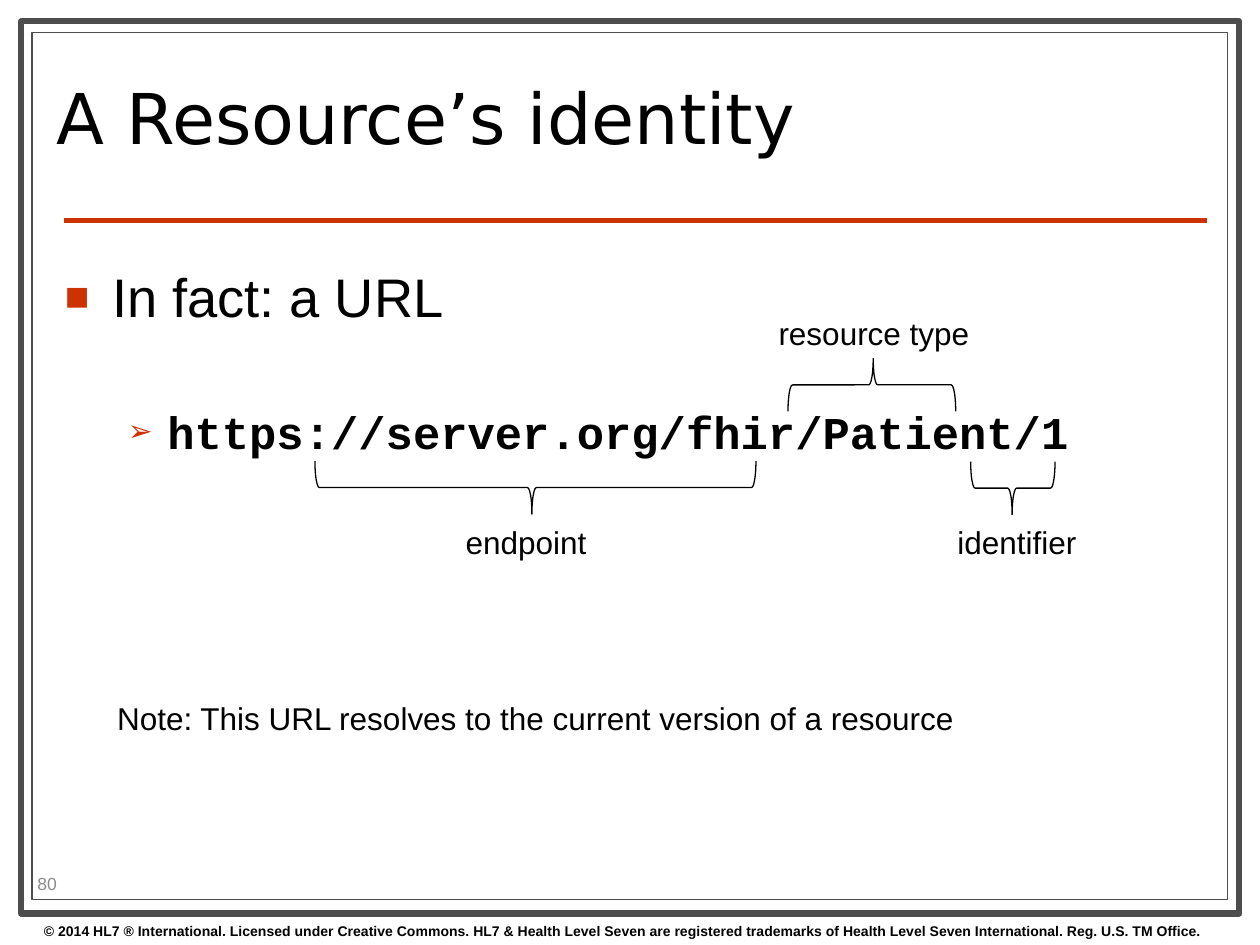
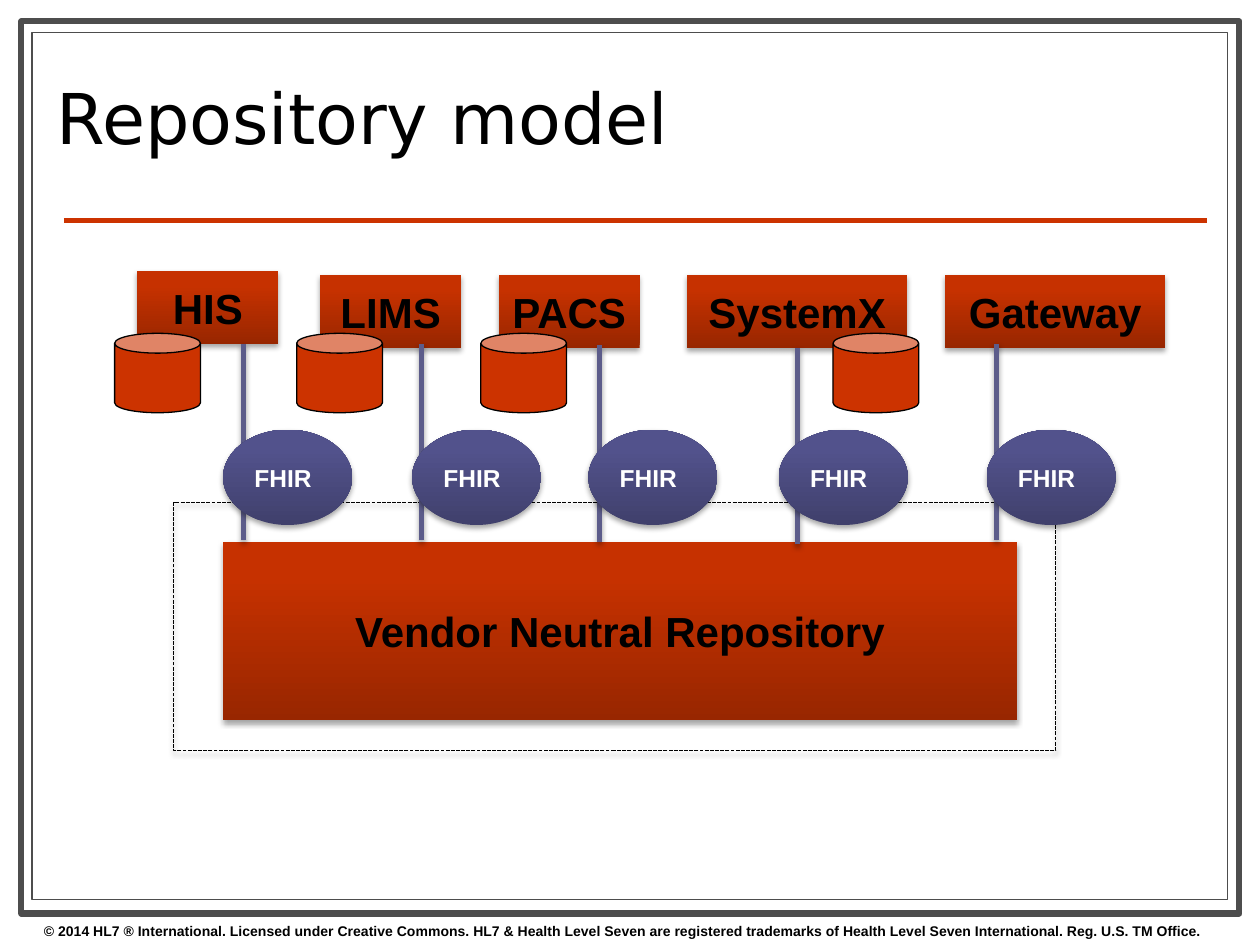
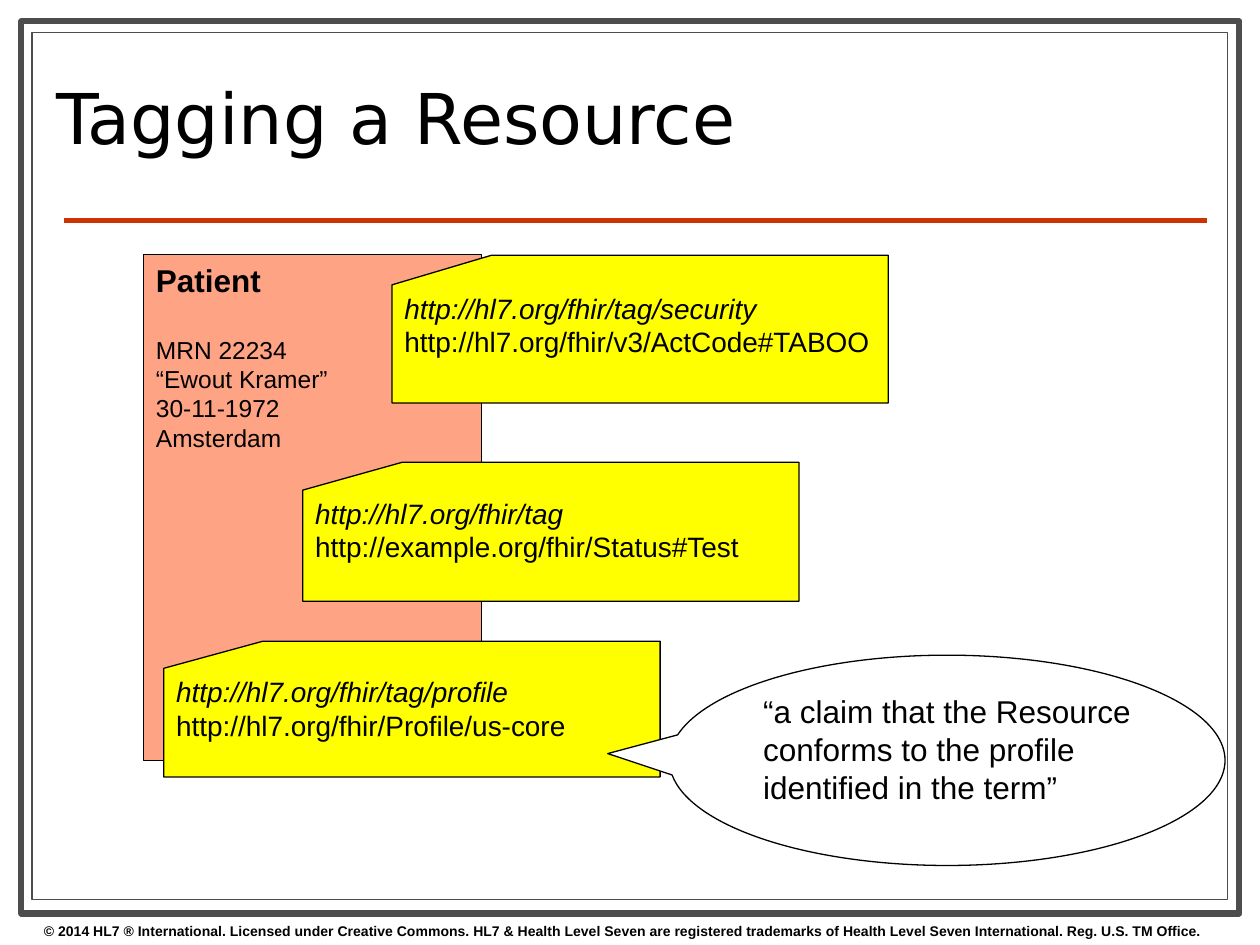
import pptx
import pptx.dml.color
import pptx.enum.dml
import pptx.enum.shapes
import pptx.enum.text
import pptx.oxml.ns
import pptx.util
from lxml import etree

Pt = pptx.util.Pt
qn = pptx.oxml.ns.qn
SHAPE = pptx.enum.shapes.MSO_SHAPE
ALIGN = pptx.enum.text.PP_ALIGN
ANCHOR = pptx.enum.text.MSO_ANCHOR

BLACK, WHITE, GREY, PALE_GREY = "000000", "FFFFFF", "4D4D4D", "8C8C8C"
RED, SALMON, YELLOW, VIOLET = "CC3300", "FFA385", "FFFF00", "5C5C8A"
RED_GRADIENT = ("982600", "C63100")
VIOLET_GRADIENT = ("40406C", "52528C")
COPYRIGHT = (
    "© 2014 HL7 ® International. Licensed under Creative Commons. HL7 & Health Level Seven "
    "are registered trademarks of Health Level Seven International. Reg. U.S. TM Office."
)


def rgb(value):
    return pptx.dml.color.RGBColor.from_string(value)


def format_runs(p, size, color=BLACK, bold=False, italic=False, font="Arial"):
    for r in p.runs:
        r.font.size = Pt(size)
        r.font.name = font
        r.font.bold = bold
        r.font.italic = italic
        r.font.color.rgb = rgb(color)


def write(sp, text, size, color=BLACK, bold=False, align=ALIGN.LEFT, anchor=ANCHOR.TOP, wrap=True):
    tf = sp.text_frame
    tf.text = text
    tf.word_wrap = wrap
    tf.vertical_anchor = anchor
    for p in tf.paragraphs:
        p.alignment = align
        format_runs(p, size, color, bold)
    return tf


def add_text(slide, left, top, width, height, text, size, **style):
    sp = slide.shapes.add_textbox(Pt(left), Pt(top), Pt(width), Pt(height))
    write(sp, text, size, **style)
    return sp


def add_shadow(sp):
    spPr = sp.element.spPr
    effects = spPr.find(qn("a:effectLst"))
    if effects is None:
        effects = etree.SubElement(spPr, qn("a:effectLst"))
    shadow = etree.SubElement(effects, qn("a:outerShdw"), blurRad=str(Pt(3.1)),
                              dist=str(Pt(1.8)), dir="5400000", rotWithShape="0")
    color = etree.SubElement(shadow, qn("a:srgbClr"), val=BLACK)
    etree.SubElement(color, qn("a:alpha"), val="35000")


def add_shape(slide, kind, left, top, width, height, fill=None, line=None, weight=0.75, shadow=False):
    sp = slide.shapes.add_shape(kind, Pt(left), Pt(top), Pt(width), Pt(height))
    if fill is None:
        sp.fill.background()
    elif isinstance(fill, tuple):
        sp.fill.gradient()
        sp.fill.gradient_angle = 90
        for stop, color, position in zip(sp.fill.gradient_stops, fill, (0, 0.8)):
            stop.color.rgb = rgb(color)
            stop.position = position
    else:
        sp.fill.solid()
        sp.fill.fore_color.rgb = rgb(fill)
    if line is None:
        sp.line.fill.background()
    else:
        sp.line.color.rgb = rgb(line)
        sp.line.width = Pt(weight)
    sp.shadow.inherit = False
    if shadow:
        add_shadow(sp)
    return sp


def add_line(slide, x1, y1, x2, y2, color, weight):
    line = slide.shapes.add_connector(
        pptx.enum.shapes.MSO_CONNECTOR.STRAIGHT, Pt(x1), Pt(y1), Pt(x2), Pt(y2))
    line.line.color.rgb = rgb(color)
    line.line.width = Pt(weight)
    etree.SubElement(line.element.spPr, qn("a:effectLst"))
    return line


def build_frame(slide, layout):
    for placeholder in list(layout.placeholders)[1:]:
        layout.shapes.element.remove(placeholder.element)
    parts = [
        add_shape(slide, SHAPE.RECTANGLE, 12.25, 12.25, 696, 509.75, WHITE, GREY, 3.5),
        add_shape(slide, SHAPE.RECTANGLE, 18.25, 18.5, 683.25, 495.5, WHITE, GREY),
        add_line(slide, 36.5, 126, 689.75, 126, RED, 3),
        add_text(slide, 18, 523.5, 720, 16.5, COPYRIGHT, 8, bold=True),
    ]
    for part in parts:
        layout.shapes.element.append(part.element)


def add_slide(prs, layout, title):
    slide = prs.slides.add_slide(layout)
    sp = slide.shapes.title
    sp.left, sp.top, sp.width, sp.height = Pt(25.2), Pt(25.9), Pt(516), Pt(90.7)
    tf = write(sp, title, 40, anchor=ANCHOR.MIDDLE)
    tf.auto_size = pptx.enum.text.MSO_AUTO_SIZE.NONE
    p = tf.paragraphs[0]
    p.line_spacing = 0.8
    format_runs(p, 40, font="DejaVu Sans")
    return slide


def set_bullet(p, char, percent, margin, indent):
    pPr = p._p.get_or_add_pPr()
    pPr.set("marL", str(Pt(margin)))
    pPr.set("indent", str(Pt(-indent)))
    color = etree.SubElement(pPr, qn("a:buClr"))
    etree.SubElement(color, qn("a:srgbClr"), val=RED)
    etree.SubElement(pPr, qn("a:buSzPct"), val=str(percent * 1000))
    etree.SubElement(pPr, qn("a:buFont"), typeface="Arial")
    etree.SubElement(pPr, qn("a:buChar"), char=char)


def add_brace(slide, left, top, span, rotation):
    depth = 30.24
    sp = add_shape(slide, SHAPE.LEFT_BRACE, left + (span - depth) / 2, top + (depth - span) / 2,
                   depth, span, line=BLACK)
    sp.adjustments[0], sp.adjustments[1] = 0.083, 0.492
    sp.rotation = rotation


def build_url(slide, left, top):
    sp = add_text(slide, left, top, 660, 350, "In fact: a URL\nhttps://server.org/fhir/Patient/1", 31)
    heading, url = sp.text_frame.paragraphs
    url.space_before = Pt(43)
    set_bullet(heading, "■", 75, 27, 27)
    set_bullet(url, "➢", 65, 58.5, 22.5)
    format_runs(url, 26, bold=True, font="Courier New")

    for x, y, span, rotation in [(150, 116.5, 252, 270), (420.3, 57.8, 95.8, 90), (524.7, 116.8, 48.2, 270)]:
        add_brace(slide, left + x, top + y, span, rotation)
    for x, y, width, label in [
        (229, 148.2, 84.2, "endpoint"),
        (407.8, 28.7, 124.6, "resource type"),
        (510, 148.2, 83.5, "identifier"),
        (29.8, 249, 497.5, "Note: This URL resolves to the current version of a resource"),
    ]:
        add_text(slide, left + x, top + y, width, 29, label, 18, wrap=False)


def build_repository(slide, left, top):
    systems = [
        ("HIS", 18.5, 5, 80.5, 79, 46.5, 67.5, 5.5),
        ("LIMS", 123, 7, 80.5, 181, 46.5, 175.5, 109.5),
        ("PACS", 225, 7, 80.5, 282.75, 47.25, 276.25, 214.75),
        ("SystemX", 332.5, 7, 126, 395.75, 48.75, 385, 416),
        ("Gateway", 480, 7, 126, 509.5, 46.5, 503.75, None),
    ]
    store = add_shape(slide, SHAPE.RECTANGLE, left + 67.5, top + 159.75, 453.6, 101.75,
                      RED_GRADIENT, shadow=True)
    write(store, "Vendor Neutral Repository", 24, bold=True, align=ALIGN.CENTER, anchor=ANCHOR.MIDDLE)
    boundary = add_shape(slide, SHAPE.RECTANGLE, left + 39.25, top + 137, 504, 142,
                         line=BLACK, shadow=True)
    boundary.line.dash_style = pptx.enum.dml.MSO_LINE.SQUARE_DOT

    for name, x, y, width, link_x, link_y, node_x, can_x in systems:
        system = add_shape(slide, SHAPE.RECTANGLE, left + x, top + y, width, 41.75,
                           RED_GRADIENT, shadow=True)
        write(system, name, 24, bold=True, align=ALIGN.CENTER, anchor=ANCHOR.MIDDLE, wrap=False)
        if can_x is not None:
            add_shape(slide, SHAPE.CAN, left + can_x, top + 40.5, 49, 45.4, RED, BLACK)
        link = add_line(slide, left + link_x, top + link_y + 112.3, left + link_x, top + link_y, VIOLET, 3)
        add_shadow(link)
        node = add_shape(slide, SHAPE.OVAL, left + node_x, top + 95.5, 73.75, 54.5,
                         VIOLET_GRADIENT, shadow=True)
        write(node, "FHIR", 14, WHITE, bold=True, anchor=ANCHOR.MIDDLE)


def build_tags(slide, left, top):
    record = add_shape(slide, SHAPE.RECTANGLE, left, top, 193, 289.4, SALMON, BLACK)
    tf = write(record, "Patient\nMRN 22234\n“Ewout Kramer”\n30-11-1972\nAmsterdam", 14)
    format_runs(tf.paragraphs[0], 18, bold=True)
    tf.paragraphs[1].space_before = Pt(20.7)

    for x, y, height, scheme, term in [
        (142, 0.5, 84.4, "http://hl7.org/fhir/tag/security", "http://hl7.org/fhir/v3/ActCode#TABOO"),
        (91, 118.8, 79.4, "http://hl7.org/fhir/tag", "http://example.org/fhir/Status#Test"),
        (11.6, 221, 77.6, "http://hl7.org/fhir/tag/profile", "http://hl7.org/fhir/Profile/us-core"),
    ]:
        card = add_shape(slide, SHAPE.FLOWCHART_CARD, left + x, top + y, 283.6, height, YELLOW, BLACK)
        tf = write(card, scheme + "\n" + term, 16)
        format_runs(tf.paragraphs[0], 16, italic=True)

    claim = add_shape(slide, SHAPE.OVAL_CALLOUT, left + 300.5, top + 229, 317.5, 120.2, WHITE, BLACK)
    claim.adjustments[0], claim.adjustments[1] = -0.611, -0.032
    write(claim, "“a claim that the Resource conforms to the profile identified in the term”", 18)


def main():
    prs = pptx.Presentation()
    prs.slide_width, prs.slide_height = Pt(720), Pt(540)
    layout = prs.slide_layouts[5]

    slide = add_slide(prs, layout, "A Resource’s identity")
    build_frame(slide, layout)
    build_url(slide, 30, 147)
    add_text(slide, 14.25, 496, 57, 17.25, "80", 10, color=PALE_GREY, anchor=ANCHOR.MIDDLE)

    slide = add_slide(prs, layout, "Repository model")
    build_repository(slide, 60, 150)

    slide = add_slide(prs, layout, "Tagging a Resource")
    build_tags(slide, 82, 145.4)

    prs.save("out.pptx")


if __name__ == "__main__":
    main()
